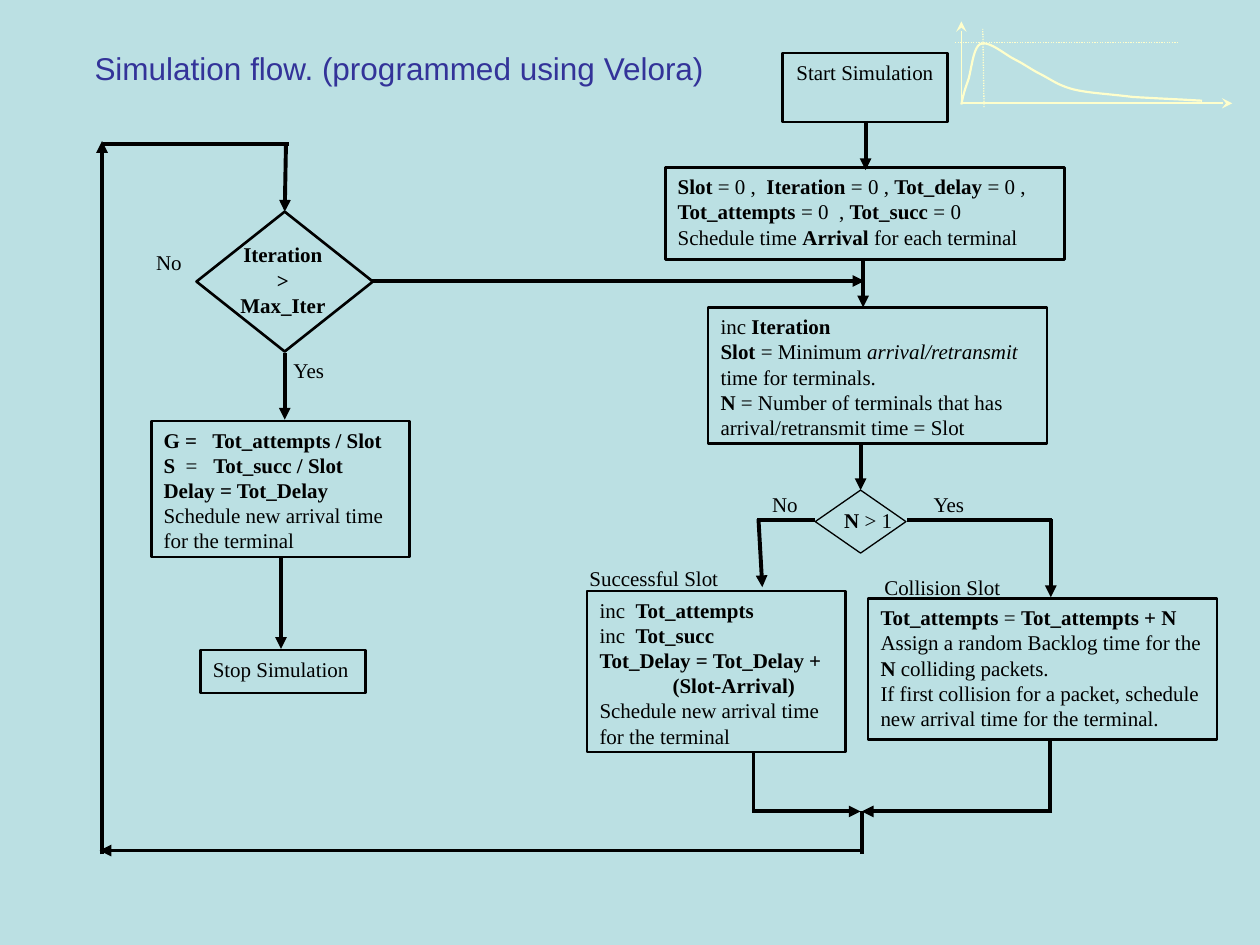
from lxml import etree
from pptx import Presentation
from pptx.dml.color import RGBColor
from pptx.enum.dml import MSO_LINE_DASH_STYLE as DASH
from pptx.enum.shapes import MSO_CONNECTOR as CONN, MSO_SHAPE as SHAPE
from pptx.enum.text import MSO_ANCHOR as ANCHOR, MSO_AUTO_SIZE as FIT, PP_ALIGN as ALIGN
from pptx.oxml.ns import qn
from pptx.util import Inches, Pt

BG, INK, CREAM, NAVY = "BBE0E3", "000000", "FFFFCC", "333399"
LEFT, CENTER, RIGHT = ALIGN.LEFT, ALIGN.CENTER, ALIGN.RIGHT


def rgb(value):
    return RGBColor.from_string(value)


def add_line(x1, y1, x2, y2, arrow=None, color=INK, width=2.25):
    c = s.shapes.add_connector(CONN.STRAIGHT, Inches(x1), Inches(y1), Inches(x2), Inches(y2))
    c.line.color.rgb = rgb(color)
    c.line.width = Pt(width)
    if arrow:
        etree.SubElement(c.line._get_or_add_ln(), qn("a:tailEnd"), type=arrow)
    etree.SubElement(c._element.spPr, qn("a:effectLst"))
    return c


prs = Presentation()
prs.slide_width, prs.slide_height = Inches(10), Inches(7.5)
s = prs.slides.add_slide(prs.slide_layouts[5])
s.background.fill.solid()
s.background.fill.fore_color.rgb = rgb(BG)

title = s.shapes.title
title.left, title.top, title.width, title.height = map(Inches, (0.65, 0.33, 5.46, 0.42))
tf = title.text_frame
tf.text = "Simulation flow. (programmed using Velora)"
tf.auto_size = FIT.NONE
tf.vertical_anchor = ANCHOR.MIDDLE
p = tf.paragraphs[0]
p.alignment = LEFT
p.font.name, p.font.size = "Arial", Pt(18)
p.font.color.rgb = rgb(NAVY)

curve_start = (7.63, 0.83)
curve = [
    ((7.64, 0.78), (7.65, 0.73), (7.68, 0.65)),
    ((7.71, 0.57), (7.72, 0.38), (7.78, 0.35)),
    ((7.85, 0.32), (7.97, 0.43), (8.05, 0.47)),
    ((8.13, 0.51), (8.18, 0.55), (8.26, 0.59)),
    ((8.34, 0.63), (8.4, 0.68), (8.52, 0.71)),
    ((8.64, 0.74), (8.84, 0.75), (8.99, 0.77)),
    ((9.15, 0.78), (9.38, 0.79), (9.54, 0.8)),
]
steps = 10
points = []
a = curve_start
for b, c, d in curve:
    for t in (i / steps for i in range(1, steps + 1)):
        u = 1 - t
        points.append([
            Inches(u**3 * a[k] + 3 * u * u * t * b[k] + 3 * u * t * t * c[k] + t**3 * d[k])
            for k in (0, 1)
        ])
    a = d
fb = s.shapes.build_freeform(*map(Inches, curve_start))
fb.add_line_segments(points, close=False)
sp = fb.convert_to_shape()
sp.shadow.inherit = False
sp.fill.background()
sp.line.color.rgb = rgb(CREAM)
sp.line.width = Pt(1.25)
for x, y in [(9.78, 0.82), (7.63, 0.17)]:
    add_line(7.63, 0.82, x, y, "stealth", CREAM, 1)
for ends in [(7.58, 0.34, 9.35, 0.34), (7.81, 0.85, 7.8, 0.23)]:
    add_line(*ends, color=CREAM, width=0.75).line.dash_style = DASH.ROUND_DOT

boxes = [
    (6.21, 0.42, 1.31, 0.55, CENTER, ["Start Simulation"]),
    (5.28, 1.33, 3.17, 0.73, LEFT, [
        "*Slot* = 0 ,  *Iteration* = 0 , *Tot_delay* = 0 , *Tot_attempts* = 0  , *Tot_succ* = 0",
        "Schedule time *Arrival* for each terminal"]),
    (5.62, 2.44, 2.69, 1.08, LEFT, [
        "inc *Iteration*",
        "*Slot* = Minimum ~arrival/retransmit~ time for terminals.",
        "*N* = Number of terminals that has arrival/retransmit time = Slot"]),
    (4.66, 4.69, 2.05, 1.28, LEFT, [
        "inc  *Tot_attempts*",
        "inc  *Tot_succ*",
        "*Tot_Delay = Tot_Delay +*",
        "\t*(Slot-Arrival)*",
        "Schedule new arrival time for the terminal"]),
    (6.89, 4.75, 2.77, 1.12, LEFT, [
        "*Tot_attempts* = *Tot_attempts + N*",
        "Assign a random Backlog time for the *N* colliding packets.",
        "If first collision for a packet, schedule new arrival time for the terminal."]),
    (1.2, 3.34, 2.05, 1.08, LEFT, [
        "*G =   Tot_attempts / Slot*",
        "*S*  =   *Tot_succ / Slot*",
        "*Delay = Tot_Delay*",
        "Schedule new arrival time for the terminal"]),
    (1.59, 5.16, 1.31, 0.34, LEFT, ["Stop Simulation"]),
]
labels = [
    (6.51, 3.98, 0.67, 0.32, RIGHT, ["*N* > 1"]),
    (1.79, 1.87, 0.91, 0.75, CENTER, ["*Iteration > Max_Iter*"]),
    (7.28, 3.85, 0.47, 0.3, RIGHT, ["Yes"]),
    (5.96, 3.85, 0.47, 0.3, RIGHT, ["No"]),
    (2.2, 2.79, 0.47, 0.3, RIGHT, ["Yes"]),
    (1.07, 1.93, 0.47, 0.3, RIGHT, ["No"]),
    (4.58, 4.44, 1.24, 0.27, LEFT, ["Successful Slot"]),
    (6.92, 4.51, 1.24, 0.27, LEFT, ["Collision Slot"]),
]
for x, y, w, h, align, lines in boxes + labels:
    area = [Inches(v) for v in (x, y, w, h)]
    if (x, y, w, h, align, lines) in boxes:
        sp = s.shapes.add_shape(SHAPE.RECTANGLE, *area)
        sp.shadow.inherit = False
        sp.fill.solid()
        sp.fill.fore_color.rgb = rgb(BG)
        sp.line.color.rgb = rgb(INK)
        sp.line.width = Pt(1.5)
    else:
        sp = s.shapes.add_textbox(*area)
    tf = sp.text_frame
    tf.word_wrap = True
    tf.vertical_anchor = ANCHOR.TOP
    for i, line in enumerate(lines):
        p = tf.add_paragraph() if i else tf.paragraphs[0]
        p.alignment = align
        p.font.name, p.font.size = "Times New Roman", Pt(12)
        p.font.color.rgb = rgb(INK)
        if line.startswith("\t"):
            p._p.get_or_add_pPr().set("marL", str(Inches(0.58)))
        for j, part in enumerate(line.strip().split("*")):
            for k, piece in enumerate(part.split("~")):
                if piece:
                    r = p.add_run()
                    r.text = piece
                    r.font.bold = j % 2 == 1
                    r.font.italic = k % 2 == 1

for x, y, w, h, width in [(6.47, 3.89, 0.72, 0.5, 0.75), (1.56, 1.68, 1.4, 1.11, 1.5)]:
    sp = s.shapes.add_shape(SHAPE.DIAMOND, Inches(x), Inches(y), Inches(w), Inches(h))
    sp.shadow.inherit = False
    sp.fill.background()
    sp.line.color.rgb = rgb(INK)
    sp.line.width = Pt(width)

arrows = [
    (6.87, 0.96, 6.87, 1.35), (6.85, 2.07, 6.85, 2.44), (6.83, 3.52, 6.83, 3.89),
    (6.02, 4.12, 6.05, 4.66), (8.34, 4.12, 8.34, 4.74), (8.35, 6.44, 6.84, 6.44),
    (5.97, 6.44, 6.83, 6.44), (2.95, 2.23, 6.86, 2.23), (2.26, 2.8, 2.26, 3.33),
    (2.27, 1.14, 2.26, 1.68), (2.23, 4.43, 2.23, 5.15), (6.83, 6.75, 0.79, 6.75),
    (0.81, 6.78, 0.81, 1.12),
]
plain = [
    (7.2, 4.13, 8.35, 4.13), (6.47, 4.13, 6.01, 4.13), (8.33, 5.88, 8.33, 6.44),
    (5.98, 5.97, 5.98, 6.45), (6.84, 6.44, 6.84, 6.78), (0.82, 1.14, 2.29, 1.14),
]
for ends in arrows:
    add_line(*ends, arrow="triangle")
for ends in plain:
    add_line(*ends)

prs.save("out.pptx")
